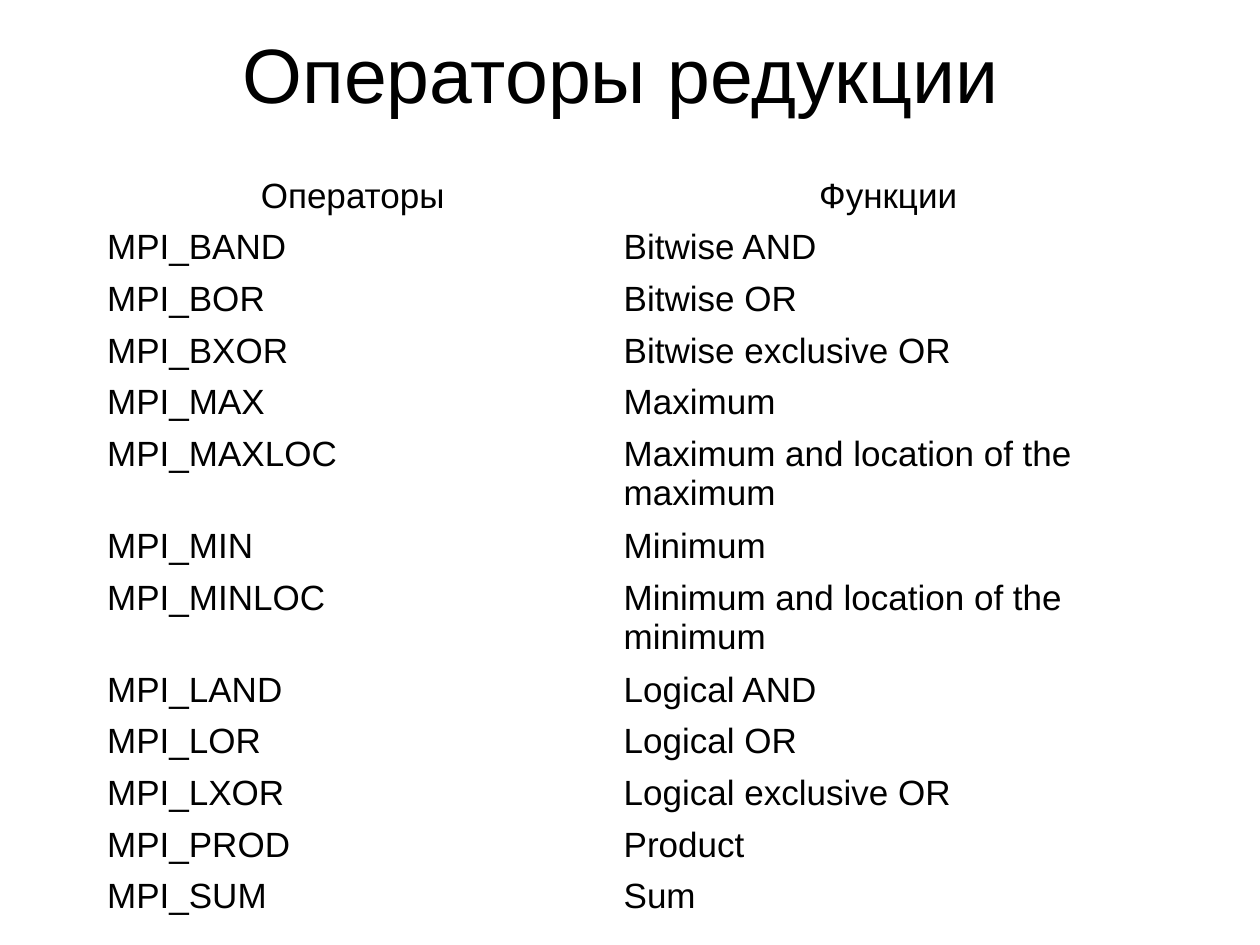
from pptx import Presentation
from pptx.dml.color import RGBColor
from pptx.enum.text import MSO_ANCHOR, PP_ALIGN
from pptx.util import Inches, Pt

BLACK = RGBColor(0x00, 0x00, 0x00)
CENTER = PP_ALIGN.CENTER
LEFT = PP_ALIGN.LEFT
MIDDLE = MSO_ANCHOR.MIDDLE
FONT = "Arial"
TITLE_ONLY = 5
COLUMN_WIDTHS = (4.1, 4.4)
ROW_HEIGHT = 0.41
TALL_ROW_HEIGHT = 0.73
TALL_OPERATORS = ("MPI_MAXLOC", "MPI_MINLOC")

OPERATORS = [
    ("Операторы", "Функции"),
    ("MPI_BAND", "Bitwise AND"),
    ("MPI_BOR", "Bitwise OR"),
    ("MPI_BXOR", "Bitwise exclusive OR"),
    ("MPI_MAX", "Maximum"),
    ("MPI_MAXLOC", "Maximum and location of the maximum"),
    ("MPI_MIN", "Minimum"),
    ("MPI_MINLOC", "Minimum and location of the minimum"),
    ("MPI_LAND", "Logical AND"),
    ("MPI_LOR", "Logical OR"),
    ("MPI_LXOR", "Logical exclusive OR"),
    ("MPI_PROD", "Product"),
    ("MPI_SUM", "Sum"),
]


def write_text(text_frame, text, size, alignment):
    text_frame.text = text
    paragraph = text_frame.paragraphs[0]
    paragraph.alignment = alignment
    paragraph.font.name = FONT
    paragraph.font.size = Pt(size)
    paragraph.font.bold = False
    paragraph.font.color.rgb = BLACK


def set_title(slide, text):
    title = slide.shapes.title
    title.left, title.top = Inches(0.43), Inches(0.16)
    title.width, title.height = Inches(9), Inches(0.84)
    title.text_frame.vertical_anchor = MIDDLE
    write_text(title.text_frame, text, 44, CENTER)


def add_operator_table(slide):
    heights = [
        TALL_ROW_HEIGHT if name in TALL_OPERATORS else ROW_HEIGHT
        for name, _ in OPERATORS
    ]
    table = slide.shapes.add_table(
        len(OPERATORS), len(COLUMN_WIDTHS), Inches(0.75), Inches(1.35),
        Inches(sum(COLUMN_WIDTHS)), Inches(sum(heights)),
    ).table
    table.first_row = False
    table.horz_banding = False
    for column, width in zip(table.columns, COLUMN_WIDTHS):
        column.width = Inches(width)
    for row_index, (row, height) in enumerate(zip(table.rows, heights)):
        row.height = Inches(height)
        alignment = LEFT if row_index else CENTER
        for cell, text in zip(row.cells, OPERATORS[row_index]):
            cell.fill.background()
            write_text(cell.text_frame, text, 20, alignment)


def main():
    presentation = Presentation()
    presentation.slide_width = Inches(10)
    presentation.slide_height = Inches(7.5)
    slide = presentation.slides.add_slide(presentation.slide_layouts[TITLE_ONLY])
    set_title(slide, "Операторы редукции")
    add_operator_table(slide)
    presentation.save("out.pptx")


if __name__ == "__main__":
    main()
